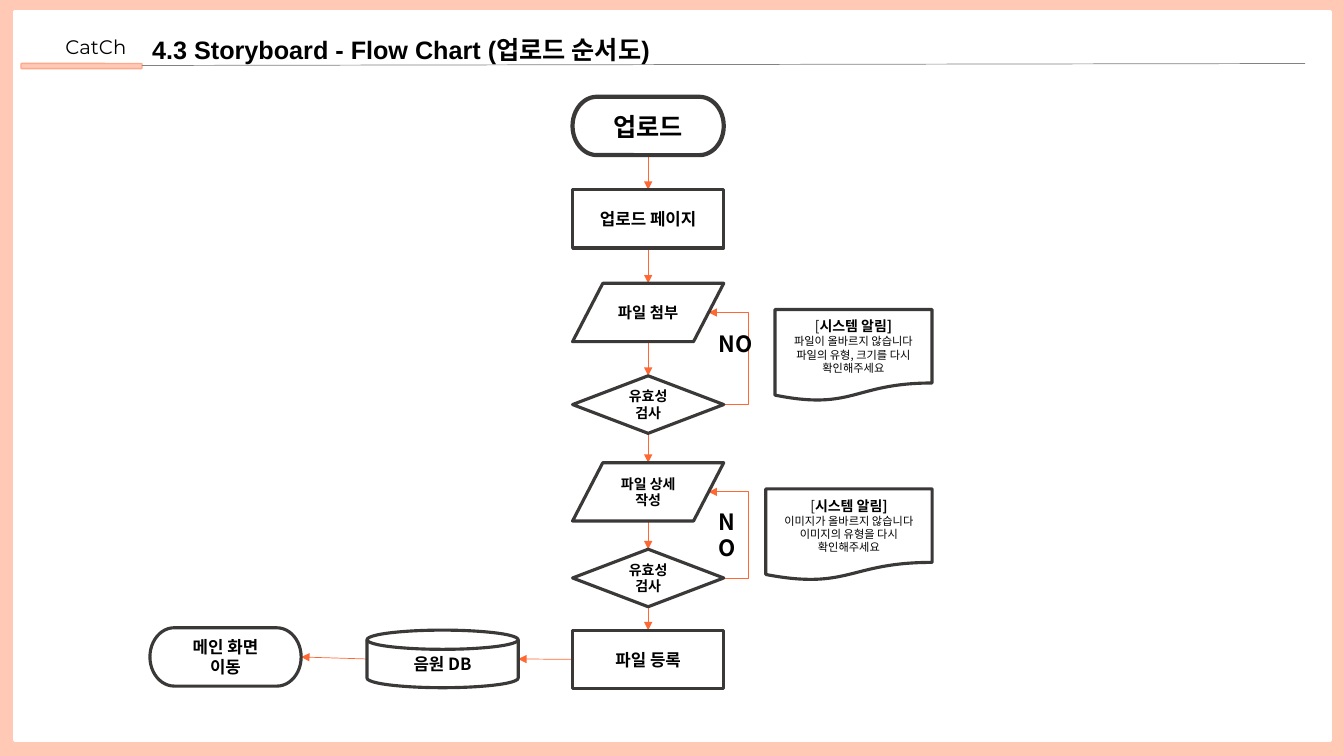
from dataclasses import dataclass
from typing import Optional

from lxml import etree
from pptx import Presentation
from pptx.dml.color import RGBColor
from pptx.enum.shapes import MSO_CONNECTOR, MSO_SHAPE
from pptx.enum.text import MSO_ANCHOR, MSO_AUTO_SIZE, PP_ALIGN
from pptx.oxml.ns import qn
from pptx.util import Cm, Pt

TERMINATOR = MSO_SHAPE.FLOWCHART_TERMINATOR
PROCESS = MSO_SHAPE.FLOWCHART_PROCESS
INPUT = MSO_SHAPE.FLOWCHART_DATA
DECISION = MSO_SHAPE.FLOWCHART_DECISION
DOCUMENT = MSO_SHAPE.FLOWCHART_DOCUMENT
DATABASE = MSO_SHAPE.FLOWCHART_MAGNETIC_DISK
RECTANGLE, ROUNDED = MSO_SHAPE.RECTANGLE, MSO_SHAPE.ROUNDED_RECTANGLE
STRAIGHT, ELBOW = MSO_CONNECTOR.STRAIGHT, MSO_CONNECTOR.ELBOW
TOP, MIDDLE = MSO_ANCHOR.TOP, MSO_ANCHOR.MIDDLE
LEFT, CENTER = PP_ALIGN.LEFT, PP_ALIGN.CENTER
NO_AUTOFIT, FIT_SHAPE = MSO_AUTO_SIZE.NONE, MSO_AUTO_SIZE.SHAPE_TO_FIT_TEXT


@dataclass(frozen=True)
class Theme:
    peach: str = "FFC9B6"
    peach_line: str = "FFA98B"
    white: str = "FFFFFF"
    black: str = "000000"
    outline: str = "3B3838"
    arrow: str = "FF6833"
    rule: str = "828282"
    korean_font: str = "Noto Sans CJK KR"
    title_font: str = "Arial"
    brand_font: str = "Montserrat"
    title: int = 18
    brand: int = 14
    answer: int = 16
    step: int = 12
    data: int = 11
    small: int = 10
    message: int = 8
    outline_width: float = 2.25
    start_width: float = 3
    thin: float = 0.5


THEME = Theme()


@dataclass(frozen=True)
class Run:
    text: str
    size: float
    bold: bool = True
    font: str = THEME.korean_font


Lines = list[list[Run]]


@dataclass(frozen=True)
class Box:
    left: float
    top: float
    width: float
    height: float

    @property
    def center(self) -> float:
        return self.left + self.width / 2

    @property
    def middle(self) -> float:
        return self.top + self.height / 2

    @property
    def right(self) -> float:
        return self.left + self.width

    @property
    def bottom(self) -> float:
        return self.top + self.height

    def lengths(self) -> tuple:
        return Cm(self.left), Cm(self.top), Cm(self.width), Cm(self.height)


@dataclass(frozen=True)
class Node:
    kind: int
    box: Box
    lines: Lines
    fill: Optional[str] = THEME.white
    line: str = THEME.outline
    line_width: float = THEME.outline_width


def one_line(text: str, size: float) -> Lines:
    return [[Run(text, size)]]


def notice(box: Box, *messages: str) -> Node:
    heading = [Run("[", THEME.small, False), Run("시스템 알림]", THEME.small)]
    body = [[Run(message, THEME.message, False)] for message in messages]
    return Node(DOCUMENT, box, [heading, *body])


STEP_LEFT, STEP_WIDTH, STEP_HEIGHT, LOW_HEIGHT = 14.43, 3.81, 1.47, 1.45
STEPS = [
    Node(kind, Box(STEP_LEFT, top, STEP_WIDTH, LOW_HEIGHT if kind == DECISION else STEP_HEIGHT),
         one_line(text, size), line_width=line_width)
    for kind, top, text, size, line_width in [
        (TERMINATOR, 2.44, "업로드", THEME.title, THEME.start_width),
        (PROCESS, 4.78, "업로드 페이지", THEME.step, THEME.outline_width),
        (INPUT, 7.14, "파일 첨부", THEME.data, THEME.outline_width),
        (DECISION, 9.47, "유효성 검사", THEME.small, THEME.outline_width),
        (INPUT, 11.66, "파일 상세 작성", THEME.small, THEME.outline_width),
        (DECISION, 13.84, "유효성 검사", THEME.small, THEME.outline_width),
        (PROCESS, 15.88, "파일 등록", THEME.step, THEME.outline_width),
    ]
]
MUSIC_DATABASE = Node(DATABASE, Box(9.25, 15.88, STEP_WIDTH, LOW_HEIGHT),
                      one_line("음원 DB", THEME.step), fill=None)
MAIN_SCREEN = Node(TERMINATOR, Box(3.78, 15.82, STEP_WIDTH, STEP_HEIGHT),
                   one_line("메인 화면", THEME.step) + one_line("이동", THEME.step))
NOTICES = [
    notice(Box(19.53, 7.8, 3.96, 2.31), "파일이 올바르지 않습니다", "파일의 유형, 크기를 다시 확인해주세요"),
    notice(Box(19.3, 12.32, 4.19, 2.31), "이미지가 올바르지 않습니다", "이미지의 유형을 다시 확인해주세요"),
]
FRAME = [
    Node(RECTANGLE, Box(0.36, 0.28, 33.17, 18.39), [], line=THEME.white),
    Node(ROUNDED, Box(0.53, 1.6, 3.05, 0.13), [], THEME.peach, THEME.peach_line, 1),
]
ANSWER_LEFT, LOOP_RIGHT = 17.86, 18.87


def write(shape, lines: Lines, alignment: int, **frame_format) -> None:
    text_frame = shape.text_frame
    for name, value in frame_format.items():
        setattr(text_frame, name, value)
    for index, runs in enumerate(lines):
        paragraph = text_frame.add_paragraph() if index else text_frame.paragraphs[0]
        paragraph.alignment = alignment
        for item in runs:
            run = paragraph.add_run()
            run.text = item.text
            font_format = {"name": item.font, "size": Pt(item.size), "bold": item.bold}
            for name, value in font_format.items():
                setattr(run.font, name, value)
            run.font.color.rgb = RGBColor.from_string(THEME.black)
            east_asian = etree.SubElement(run.font._element, qn("a:ea"))
            east_asian.set("typeface", THEME.korean_font)


def draw_node(slide, node: Node) -> None:
    shape = slide.shapes.add_shape(node.kind, *node.box.lengths())
    shape.shadow.inherit = False
    if node.fill is None:
        shape.fill.background()
    else:
        shape.fill.solid()
        shape.fill.fore_color.rgb = RGBColor.from_string(node.fill)
    shape.line.color.rgb = RGBColor.from_string(node.line)
    shape.line.width = Pt(node.line_width)
    write(shape, node.lines, CENTER, vertical_anchor=MIDDLE, word_wrap=True)


def draw_text(slide, box: Box, lines: Lines, wrap: bool = True) -> None:
    write(slide.shapes.add_textbox(*box.lengths()), lines, LEFT, word_wrap=wrap, auto_size=FIT_SHAPE)


def draw_line(slide, start: tuple, end: tuple, color: str = THEME.arrow,
              kind: int = STRAIGHT, arrow: bool = True):
    connector = slide.shapes.add_connector(kind, *(Cm(value) for value in (*start, *end)))
    connector.line.color.rgb = RGBColor.from_string(color)
    connector.line.width = Pt(THEME.thin)
    if arrow:
        etree.SubElement(connector.line._get_or_add_ln(), qn("a:tailEnd")).set("type", "triangle")
    etree.SubElement(connector.element.spPr, qn("a:effectLst"))
    return connector


def draw_retry_loop(slide, decision: Box, data: Box) -> None:
    """Lead from a failed check out to the right and back to its input."""
    target = data.right - data.width / 10
    connector = draw_line(slide, (decision.right, decision.middle), (target, data.middle), kind=ELBOW)
    bend = round((decision.right - LOOP_RIGHT) / (decision.right - target) * 100000)
    adjustments = connector.element.spPr.find(qn("a:prstGeom")).get_or_add_avLst()
    guide = etree.SubElement(adjustments, qn("a:gd"))
    guide.set("name", "adj1")
    guide.set("fmla", f"val {bend}")


def draw_header(slide) -> None:
    for node in FRAME:
        draw_node(slide, node)
    draw_text(slide, Box(1.4, 0.76, 2.46, 0.86),
              [[Run("CatCh", THEME.brand, False, THEME.brand_font)]])
    draw_line(slide, (3.58, 1.65), (32.89, 1.6), THEME.rule, arrow=False)
    title = slide.shapes.title
    title.element.getparent().append(title.element)
    title.left, title.top, title.width, title.height = Box(3.58, 0.74, 16.38, 1.02).lengths()
    text = "4.3 Storyboard - Flow Chart (업로드 순서도)"
    write(title, [[Run(text, THEME.title, True, THEME.title_font)]], LEFT,
          vertical_anchor=TOP, word_wrap=True, auto_size=NO_AUTOFIT)


def draw_flow(slide) -> None:
    boxes = [step.box for step in STEPS]
    for upper, lower in zip(boxes, boxes[1:]):
        draw_line(slide, (upper.center, upper.bottom), (lower.center, lower.top))
    for index in (3, 5):
        draw_retry_loop(slide, boxes[index], boxes[index - 1])
    chain = [boxes[-1], MUSIC_DATABASE.box, MAIN_SCREEN.box]
    for source, target in zip(chain, chain[1:]):
        draw_line(slide, (source.left, source.middle), (target.right, target.middle))
    draw_text(slide, Box(ANSWER_LEFT, 8.2, 1.4, 1.63), one_line("NO", THEME.answer), wrap=False)
    draw_text(slide, Box(ANSWER_LEFT, 12.67, 1.4, 1.63),
              one_line("N", THEME.answer) + one_line("O", THEME.answer))
    for node in [*STEPS, *NOTICES, MUSIC_DATABASE, MAIN_SCREEN]:
        draw_node(slide, node)


def main() -> None:
    presentation = Presentation()
    presentation.slide_width, presentation.slide_height = Cm(33.87), Cm(19.05)
    slide = presentation.slides.add_slide(presentation.slide_layouts[5])
    slide.background.fill.solid()
    slide.background.fill.fore_color.rgb = RGBColor.from_string(THEME.peach)
    draw_header(slide)
    draw_flow(slide)
    presentation.save("out.pptx")


if __name__ == "__main__":
    main()
